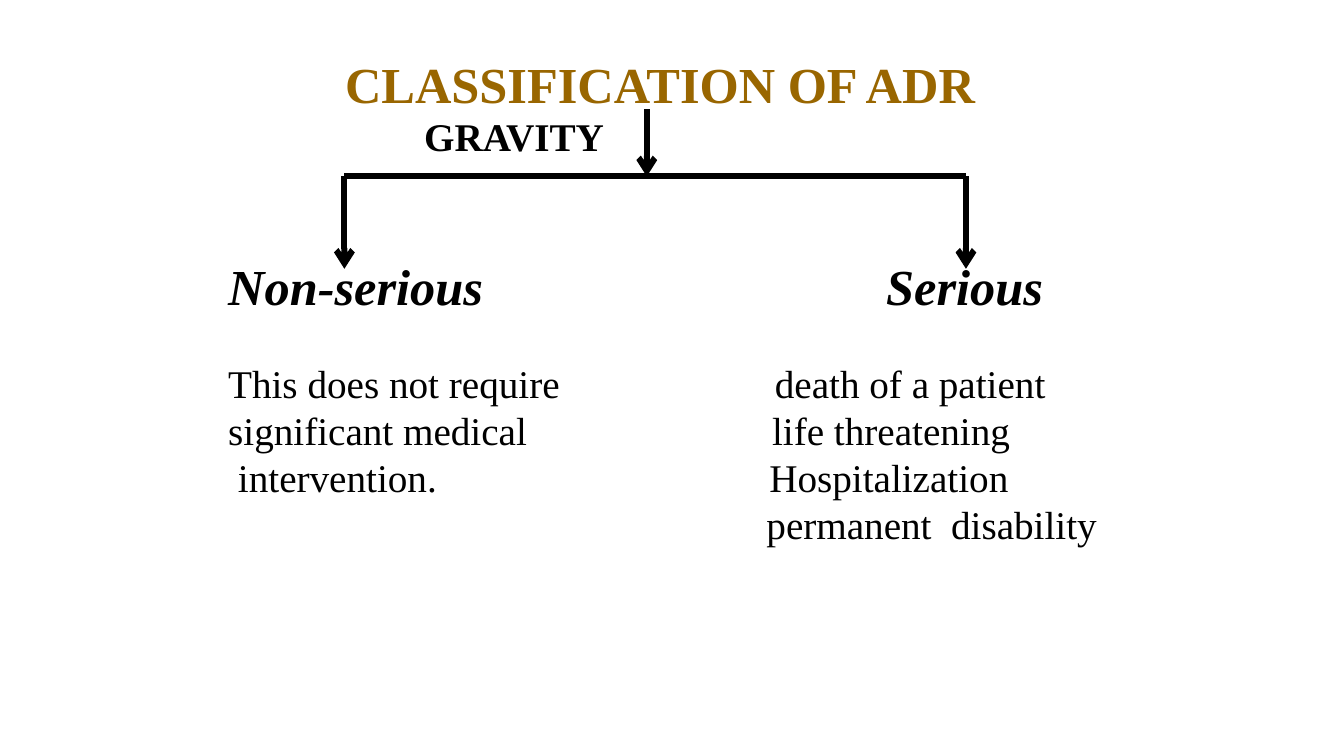
"""Build the slide that classifies adverse drug reactions by gravity."""
import pptx
import pptx.dml.color
import pptx.enum.shapes
import pptx.enum.text
import pptx.oxml.ns
import pptx.util
from lxml import etree

Pt = pptx.util.Pt
BROWN = pptx.dml.color.RGBColor(0x99, 0x66, 0x00)
BLACK = pptx.dml.color.RGBColor(0, 0, 0)
FONT = "Times New Roman"
LEFT, RIGHT, MIDDLE = 246, 690, 462
TOP, BAR, TIP = 78, 126, 192


def write(sp, box, lines, color=BLACK, pitch=None, indents=None, **font):
    sp.left, sp.top, sp.width, sp.height = [Pt(v) for v in box]
    tf = sp.text_frame
    frame = {"margin_left": 0, "margin_right": 0, "margin_top": 0, "margin_bottom": 0,
             "word_wrap": True, "auto_size": pptx.enum.text.MSO_AUTO_SIZE.NONE,
             "vertical_anchor": pptx.enum.text.MSO_ANCHOR.TOP}
    for name, value in frame.items():
        setattr(tf, name, value)
    for i, line in enumerate(lines):
        p = tf.paragraphs[0] if i == 0 else tf.add_paragraph()
        p.alignment = pptx.enum.text.PP_ALIGN.LEFT
        if pitch:
            p.line_spacing = Pt(pitch)
        if indents:
            p._p.get_or_add_pPr().set("marL", str(Pt(indents[i])))
        r = p.add_run()
        r.text = line
        r.font.name = FONT
        r.font.color.rgb = color
        for name, value in font.items():
            setattr(r.font, name, value)


prs = pptx.Presentation()
prs.slide_width, prs.slide_height = Pt(960), Pt(540)
s = prs.slides.add_slide(prs.slide_layouts[5])

write(s.shapes.title, (246.5, 38, 500, 42), ["CLASSIFICATION OF ADR"],
      color=BROWN, size=Pt(36), bold=True)
s.shapes.title.text_frame.paragraphs[0].line_spacing = 1.0

texts = [
    ((303, 80, 140, 33), ["GRAVITY"], {"size": Pt(28), "bold": True}),
    ((163, 182, 220, 42), ["Non-serious"], {"size": Pt(36), "bold": True, "italic": True}),
    ((633, 182, 140, 42), ["Serious"], {"size": Pt(36), "bold": True, "italic": True}),
    ((163, 256.5, 300, 102),
     ["This does not require", "significant medical", "intervention."],
     {"size": Pt(28), "pitch": 33.6, "indents": [0, 0, 7]}),
    ((547.5, 256.5, 260, 136),
     ["death of a patient", "life threatening", "Hospitalization", "permanent  disability"],
     {"size": Pt(28), "pitch": 33.6, "indents": [6, 4, 2, 0]}),
]
for box, lines, style in texts:
    write(s.shapes.add_textbox(0, 0, 0, 0), box, lines, **style)

branches = [
    (MIDDLE, TOP, MIDDLE, BAR, True),
    (LEFT, BAR, RIGHT, BAR, False),
    (LEFT, BAR, LEFT, TIP, True),
    (RIGHT, BAR, RIGHT, TIP, True),
]
for x1, y1, x2, y2, arrow in branches:
    c = s.shapes.add_connector(pptx.enum.shapes.MSO_CONNECTOR.STRAIGHT,
                               Pt(x1), Pt(y1), Pt(x2), Pt(y2))
    c.line.width = Pt(4.25)
    c.line.color.rgb = BLACK
    if arrow:
        etree.SubElement(c.line._get_or_add_ln(), pptx.oxml.ns.qn("a:tailEnd"), type="arrow")
    etree.SubElement(c._element.spPr, pptx.oxml.ns.qn("a:effectLst"))

prs.save("out.pptx")
